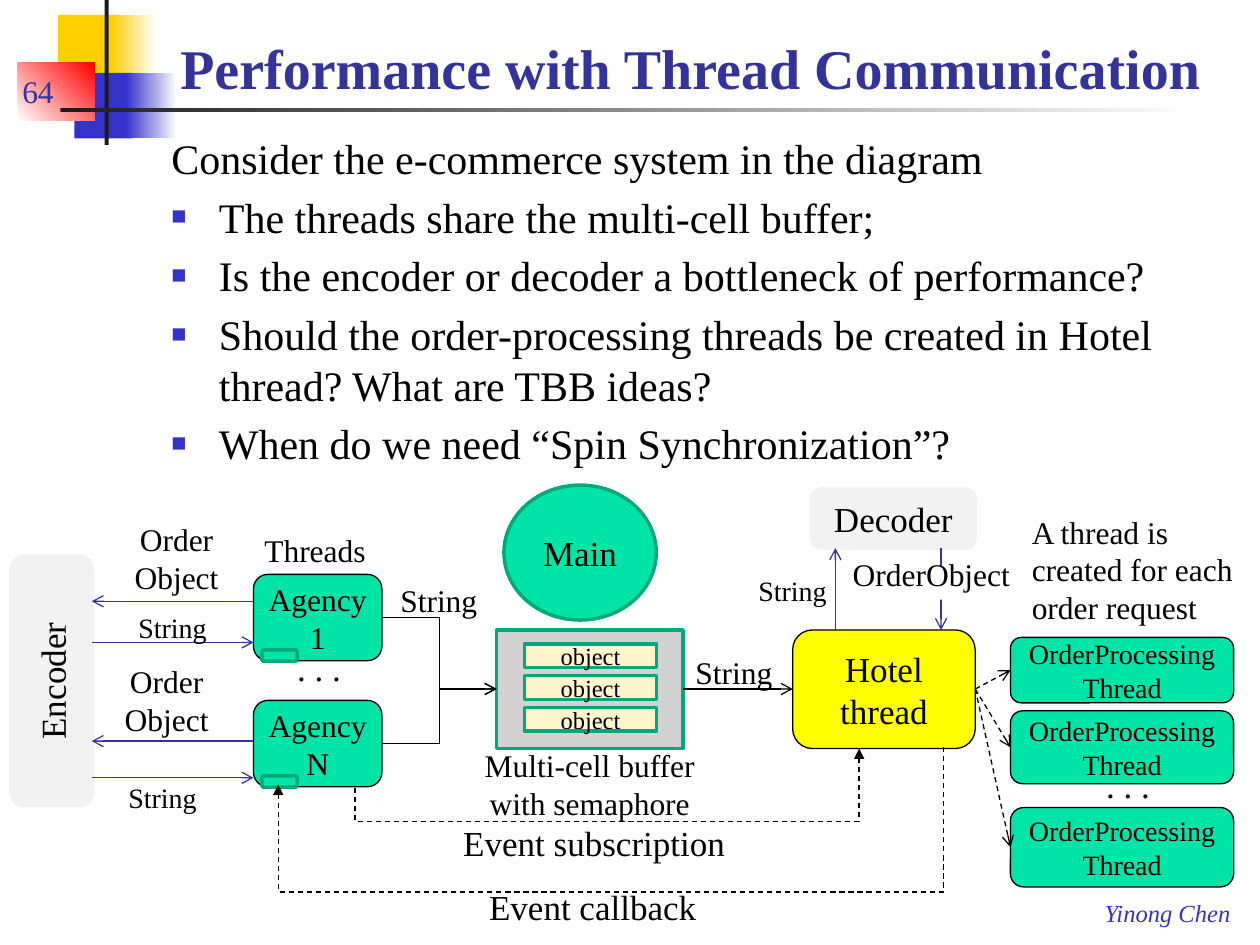
"""Build the slide on performance with thread communication."""
from lxml import etree
from pptx import Presentation
from pptx.dml.color import RGBColor
from pptx.enum import dml, shapes, text as t
from pptx.oxml.ns import qn
from pptx.util import Cm, Pt

rgb = RGBColor.from_string
kinds = shapes.MSO_SHAPE
MID, LOW = t.MSO_ANCHOR.MIDDLE, t.MSO_ANCHOR.BOTTOM
MINT, EDGE, PALE, INK, NAVY, BLUE = "00E4A8", "00A97C", "F2F2F2", "000000", "333399", "3333CC"

deck = Presentation()
deck.slide_width, deck.slide_height = Cm(25.4), Cm(19.05)
slide = deck.slides.add_slide(deck.slide_layouts[1])


def put(words, x, y, w, h, kind=None, box=None, fill=None, fade=None, angle=0, line=None,
        thick=0.75, size=18, color=INK, bold=False, italic=False, mid=False,
        anchor=t.MSO_ANCHOR.TOP, wrap=False, grow=True, lead=None, gap=0, turn=0):
    spot = Cm(x), Cm(y), Cm(w), Cm(h)
    if box:
        box.left, box.top, box.width, box.height = spot
    elif kind is None:
        box = slide.shapes.add_textbox(*spot)
    else:
        box = slide.shapes.add_shape(kind, *spot)
        box.shadow.inherit = False
        box.rotation = turn
        if fade:
            box.fill.gradient()
            box.fill.gradient_angle = angle
            for stop, shade in zip(box.fill.gradient_stops, (fill, fade)):
                stop.color.rgb = rgb(shade)
        else:
            box.fill.solid()
            box.fill.fore_color.rgb = rgb(fill)
        if line:
            box.line.color.rgb = rgb(line)
            box.line.width = Pt(thick)
        else:
            box.line.fill.background()
    if not words:
        return box
    frame = box.text_frame
    frame.word_wrap = wrap
    frame.vertical_anchor = anchor
    fit = grow and kind is None
    frame.auto_size = t.MSO_AUTO_SIZE.SHAPE_TO_FIT_TEXT if fit else t.MSO_AUTO_SIZE.NONE
    for i, part in enumerate(words.split("\n")):
        para = frame.add_paragraph() if i else frame.paragraphs[0]
        para.alignment = t.PP_ALIGN.CENTER if mid else t.PP_ALIGN.LEFT
        para.space_before = Pt(gap if i else 0)
        if lead:
            para.line_spacing = Pt(lead)
        run = para.add_run()
        run.text = part
        font = run.font
        font.name, font.size, font.bold, font.italic = "Times New Roman", Pt(size), bold, italic
        font.color.rgb = rgb(color)
    return box


def wire(*dots, color=INK, dash=False, tip="arrow", kind=shapes.MSO_CONNECTOR.STRAIGHT):
    spots = [(Cm(x), Cm(y)) for x, y in dots]
    if len(spots) == 2:
        item = slide.shapes.add_connector(kind, *spots[0], *spots[1])
    else:
        pen = slide.shapes.build_freeform(*spots[0])
        pen.add_line_segments(spots[1:], close=False)
        item = pen.convert_to_shape()
        item.fill.background()
    item.line.color.rgb = rgb(color)
    item.line.width = Pt(0.75)
    if dash:
        item.line.dash_style = dml.MSO_LINE.DASH
    props = item.element.spPr
    etree.SubElement(props.find(qn("a:ln")), qn("a:tailEnd"), type=tip)
    etree.SubElement(props, qn("a:effectLst"))


put("Performance with Thread Communication", 3.38, 0.43, 21.79, 1.73, box=slide.shapes.title,
    size=32, color=NAVY, bold=True, anchor=LOW, wrap=True, grow=False)
points = """Consider the e-commerce system in the diagram
The threads share the multi-cell buffer;
Is the encoder or decoder a bottleneck of performance?
Should the order-processing threads be created in Hotel thread? What are TBB ideas?
When do we need “Spin Synchronization”?"""
body = put(points, 3.2, 2.54, 21.77, 6.83, box=slide.placeholders[1], size=24, wrap=True,
           grow=False, gap=4.8)
for i, para in enumerate(body.text_frame.paragraphs):
    props = para._p.get_or_add_pPr()
    inset = Cm(0.96) if i else 0
    props.set("marL", str(inset))
    props.set("indent", str(-inset))
    if i:
        tint = etree.SubElement(props, qn("a:buClr"))
        etree.SubElement(tint, qn("a:srgbClr"), val=BLUE)
        etree.SubElement(props, qn("a:buSzPct"), val="60000")
        etree.SubElement(props, qn("a:buFont"), typeface="Times New Roman")
        etree.SubElement(props, qn("a:buChar"), char="■")
    else:
        etree.SubElement(props, qn("a:buNone"))

for x, y, w, h, fill, fade, angle in (
        (1.17, 0.3, 1.22, 1.32, "FFCF01", None, 0),
        (2.24, 0.3, 0.91, 1.32, "FFCF01", "FFFFFF", 0),
        (1.5, 1.47, 1.17, 1.32, BLUE, None, 0),
        (2.54, 1.47, 1.02, 1.32, BLUE, "FFFFFF", 0),
        (0.36, 1.27, 1.55, 1.17, "FFFFFF", "FF0000", 45),
        (2.11, 0, 0.08, 2.92, "1C1C1C", None, 0),
        (1.22, 2.18, 22.86, 0.08, "1C1C1C", "FFFFFF", 0)):
    put("", x, y, w, h, kind=kinds.RECTANGLE, fill=fill, fade=fade, angle=angle)
put("64", 0.2, 1.07, 2.36, 1.27, color=NAVY, anchor=LOW, wrap=True, grow=False)
put("Yinong Chen", 22.02, 17.98, 3.05, 0.86, size=14, color=BLUE, italic=True)

put("Encoder", -1.47, 12.9, 5.03, 1.65, kind=kinds.ROUNDED_RECTANGLE, fill=PALE, line=PALE,
    thick=2, size=20, mid=True, anchor=MID, wrap=True, turn=270)
put("Decoder", 16.36, 9.86, 3.3, 1.19, kind=kinds.ROUNDED_RECTANGLE, fill=PALE, line=PALE,
    thick=2, size=20, mid=True, anchor=MID, wrap=True)
put("Main", 10.16, 9.78, 3.07, 2.72, kind=kinds.OVAL, fill=MINT, line=EDGE,
    thick=2, size=20, mid=True, anchor=MID, wrap=True)
put("", 10.01, 12.7, 3.76, 2.39, kind=kinds.RECTANGLE, fill="D2D2D2", line=EDGE, thick=2)
for i in range(3):
    put("object", 10.57, 12.98 + 0.64 * i, 2.67, 0.48, kind=kinds.RECTANGLE, fill="FFF5CC",
        line=EDGE, thick=2, size=14, mid=True, anchor=MID, wrap=True)
put("Hotel\nthread", 15.98, 12.7, 3.68, 2.39, kind=kinds.FLOWCHART_ALTERNATE_PROCESS,
    fill="FFFF00", line=INK, size=20, mid=True, anchor=MID)

for name, y, out, back, left, top, low in (
        ("1", 11.58, 12.12, 12.95, 2.44, 10.36, 12.19),
        ("N", 14.12, 14.94, 15.68, 2.24, 13.23, 15.62)):
    put(f"Agency\n{name}", 5.11, y, 2.59, 1.74, kind=kinds.FLOWCHART_ALTERNATE_PROCESS,
        fill=MINT, line=INK, mid=True, anchor=MID)
    put("", 5.28, y + 1.52, 0.71, 0.23, kind=kinds.ROUNDED_RECTANGLE, fill=MINT,
        line=EDGE, thick=2)
    wire((7.7, y + 0.87), (10.01, 13.89), kind=shapes.MSO_CONNECTOR.ELBOW)
    wire((5.11, out), (1.85, out), color=NAVY)
    wire((1.85, back), (5.11, back), color=NAVY)
    put("Order\nObject", left, top, 2.24, 1.8, mid=True)
    put("String", left + 0.1, low, 1.9, 0.94, size=16)

wire((13.77, 13.89), (15.98, 13.89))
wire((18.97, 11.05), (18.97, 12.7), color=NAVY)
wire((16.84, 12.7), (16.84, 11.05), color=NAVY)
wire((7.16, 15.88), (7.16, 16.56), (17.32, 16.56), (17.32, 15.09), dash=True, tip="triangle")
wire((19.02, 15.06), (19.02, 17.98), (5.61, 17.98), (5.61, 15.82), dash=True, tip="triangle")

for y, h in (12.85, 1.32), (14.33, 1.47), (16.28, 1.6):
    put("OrderProcessing Thread", 20.37, y, 4.5, h, kind=kinds.ROUNDED_RECTANGLE, fill=MINT,
        line=INK, size=16, mid=True, anchor=MID, wrap=True)
    wire((19.66, 13.89), (20.37, y + h / 2), dash=True)

put("OrderObject", 16.94, 11.43, 3.71, 0.66, kind=kinds.RECTANGLE, fill="FFFFFF", lead=11)
put("String", 15.04, 11.43, 1.9, 0.94, size=16)
for words, x, y, w in (("String", 7.82, 11.58, 2.08), ("String", 13.77, 13.03, 2.08),
                       ("Threads", 5.08, 10.59, 2.59)):
    put(words, x, y, w, 1.02)
for x, y in (5.74, 12.9), (22.05, 15.27):
    put(". . .", x, y, 1.4, 1.12, size=20)
put("Multi-cell buffer\nwith semaphore", 6.81, 14.91, 10.16, 1.8, mid=True, wrap=True)
put("Event subscription", 8.92, 16.43, 6.12, 1.12, size=20, mid=True, wrap=True)
put("Event callback", 8.89, 17.73, 6.12, 1.12, size=20, mid=True, wrap=True)
put("A thread is created for each order request", 20.55, 10.21, 4.62, 2.57, wrap=True)

deck.save("out.pptx")
